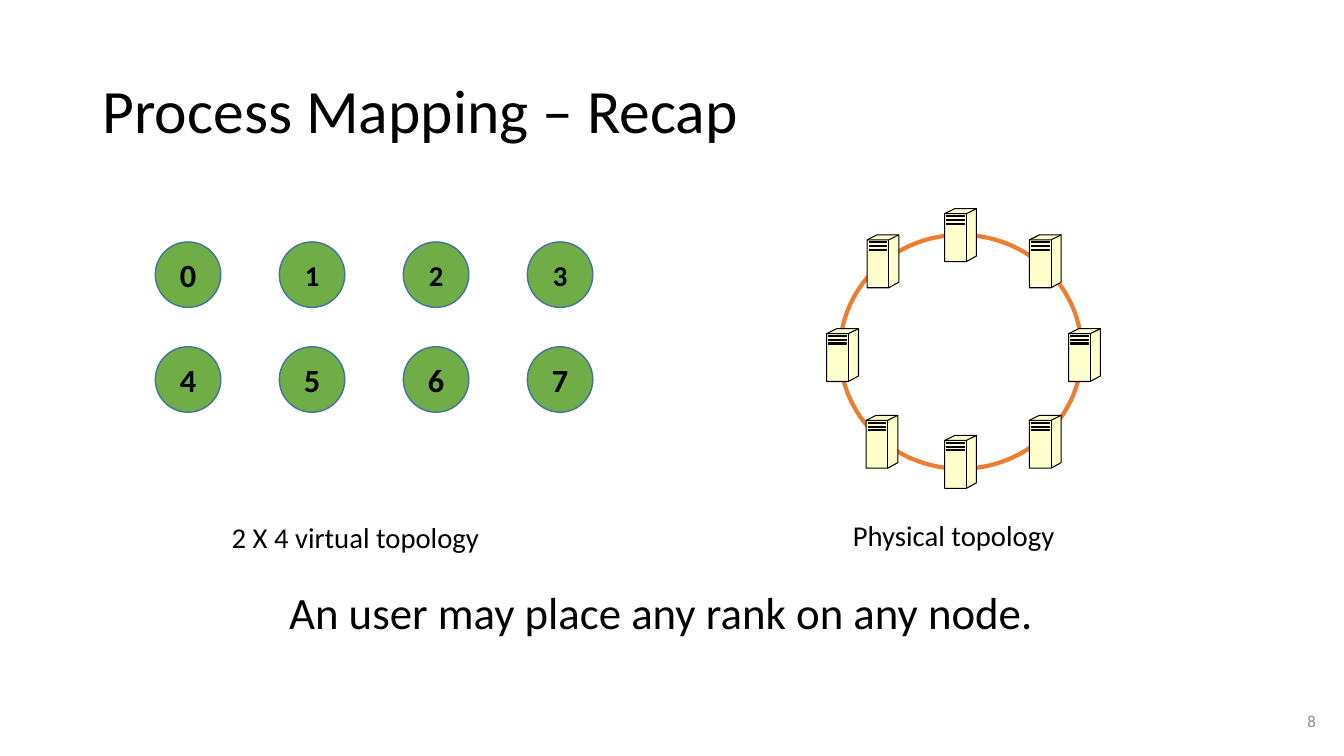
from dataclasses import dataclass

from lxml.etree import SubElement
from pptx import Presentation
from pptx.dml.color import RGBColor
from pptx.enum.shapes import MSO_SHAPE
from pptx.enum.text import MSO_ANCHOR, PP_ALIGN
from pptx.oxml.ns import qn
from pptx.shapes.autoshape import Shape
from pptx.slide import Slide
from pptx.text.text import TextFrame
from pptx.util import Inches, Pt

BLACK = RGBColor(0x00, 0x00, 0x00)
GREY = RGBColor(0x8C, 0x8C, 0x8C)
GREEN = RGBColor(0x70, 0xAD, 0x47)
BLUE = RGBColor(0x43, 0x73, 0x9E)
ORANGE = RGBColor(0xED, 0x7D, 0x31)
CREAM = RGBColor(0xFF, 0xFF, 0xCC)

# Server outline in thousandths of an inch
SERVER_UNIT = Inches(0.001)
SERVER_BODY = [(0, 50), (100, 0), (315, 0), (315, 470), (215, 525), (0, 525)]
FRONT_EDGES = [[(0, 50), (215, 50), (315, 0)], [(215, 50), (215, 525)]]
VENTS = [
    [(20, y), (195, y), (195, y + 10), (20, y + 10), (20, y)]
    for y in (70, 107, 143)
]

Point = tuple[float, float]


@dataclass(frozen=True)
class Label:
    text: str
    left: float
    top: float
    width: float
    height: float
    size: float
    color: RGBColor = BLACK
    align: PP_ALIGN = PP_ALIGN.LEFT
    anchor: MSO_ANCHOR = MSO_ANCHOR.TOP
    wrap: bool = False
    line_spacing: float = 1.0


@dataclass(frozen=True)
class Rank:
    number: int
    size: float = 23.1

    @property
    def position(self) -> Point:
        row, column = divmod(self.number, 4)
        return 1.54 + 1.23 * column, 2.4 + 1.04 * row


LABELS = [
    Label("Process Mapping – Recap", 0.92, 0.4, 11.5, 1.45, 44,
          anchor=MSO_ANCHOR.MIDDLE, wrap=True, line_spacing=0.9),
    Label("2 X 4 virtual topology", 2.2, 5.11, 2.68, 0.45, 20.5),
    Label("Physical topology", 8.36, 5.09, 2.22, 0.45, 20.5),
    Label("8", 9.42, 6.95, 3.73, 0.4, 12, GREY,
          PP_ALIGN.RIGHT, MSO_ANCHOR.MIDDLE, True),
    Label("An user may place any rank on any node.", 2.77, 5.75, 7.66, 0.64, 32),
]
RANKS = [Rank(n, 20.5 if n in (1, 2, 3) else 23.1) for n in range(8)]
SERVERS: list[Point] = [
    (9.37, 4.32), (8.59, 4.12), (10.21, 4.12), (8.2, 3.26),
    (10.6, 3.26), (8.6, 2.33), (9.37, 2.07), (10.21, 2.33),
]


def write(frame: TextFrame, text: str, size: float, color: RGBColor,
          align: PP_ALIGN, bold: bool = False) -> None:
    paragraph = frame.paragraphs[0]
    paragraph.alignment = align
    run = paragraph.add_run()
    run.text = text
    font_format = {"name": "Calibri", "size": Pt(size), "bold": bold}
    for attribute, value in font_format.items():
        setattr(run.font, attribute, value)
    run.font.color.rgb = color


def paint(shape: Shape, fill: RGBColor | None, line: RGBColor,
          line_width: float) -> None:
    shape.shadow.inherit = False
    if fill is None:
        shape.fill.background()
    else:
        shape.fill.solid()
        shape.fill.fore_color.rgb = fill
    shape.line.color.rgb = line
    shape.line.width = Pt(line_width)


def add_label(slide: Slide, label: Label) -> None:
    box = slide.shapes.add_textbox(
        Inches(label.left), Inches(label.top),
        Inches(label.width), Inches(label.height))
    frame = box.text_frame
    frame.word_wrap = label.wrap
    frame.vertical_anchor = label.anchor
    write(frame, label.text, label.size, label.color, label.align)
    frame.paragraphs[0].line_spacing = label.line_spacing


def add_rank(slide: Slide, rank: Rank) -> None:
    left, top = rank.position
    circle = slide.shapes.add_shape(
        MSO_SHAPE.OVAL, Inches(left), Inches(top), Inches(0.65), Inches(0.65))
    paint(circle, GREEN, BLUE, 1)
    frame = circle.text_frame
    for side in ("left", "right", "top", "bottom"):
        setattr(frame, f"margin_{side}", 0)
    frame.vertical_anchor = MSO_ANCHOR.MIDDLE
    write(frame, str(rank.number), rank.size, BLACK, PP_ALIGN.CENTER, bold=True)


def add_ring(slide: Slide) -> None:
    ring = slide.shapes.add_shape(
        MSO_SHAPE.OVAL, Inches(8.33), Inches(2.33), Inches(2.4), Inches(2.32))
    paint(ring, None, ORANGE, 3)


def add_outline(slide: Slide, contours: list[list[Point]], position: Point,
                closed: bool, fill: RGBColor | None) -> None:
    builder = slide.shapes.build_freeform(*contours[0][0], scale=SERVER_UNIT)
    for index, (start, *rest) in enumerate(contours):
        if index:
            builder.move_to(*start)
        builder.add_line_segments(rest, close=closed)
    outline = builder.convert_to_shape(*(Inches(value) for value in position))
    paint(outline, fill, BLACK, 0.75)
    line = outline.line._get_or_add_ln()
    SubElement(line, qn("a:round"))


def add_server(slide: Slide, position: Point) -> None:
    add_outline(slide, [SERVER_BODY], position, True, CREAM)
    add_outline(slide, FRONT_EDGES + VENTS, position, False, None)


def main() -> None:
    presentation = Presentation()
    presentation.slide_width = Inches(13.33)
    presentation.slide_height = Inches(7.5)
    slide = presentation.slides.add_slide(presentation.slide_layouts[6])
    for rank in RANKS:
        add_rank(slide, rank)
    add_ring(slide)
    for position in SERVERS:
        add_server(slide, position)
    for label in LABELS:
        add_label(slide, label)
    presentation.save("out.pptx")


if __name__ == "__main__":
    main()
